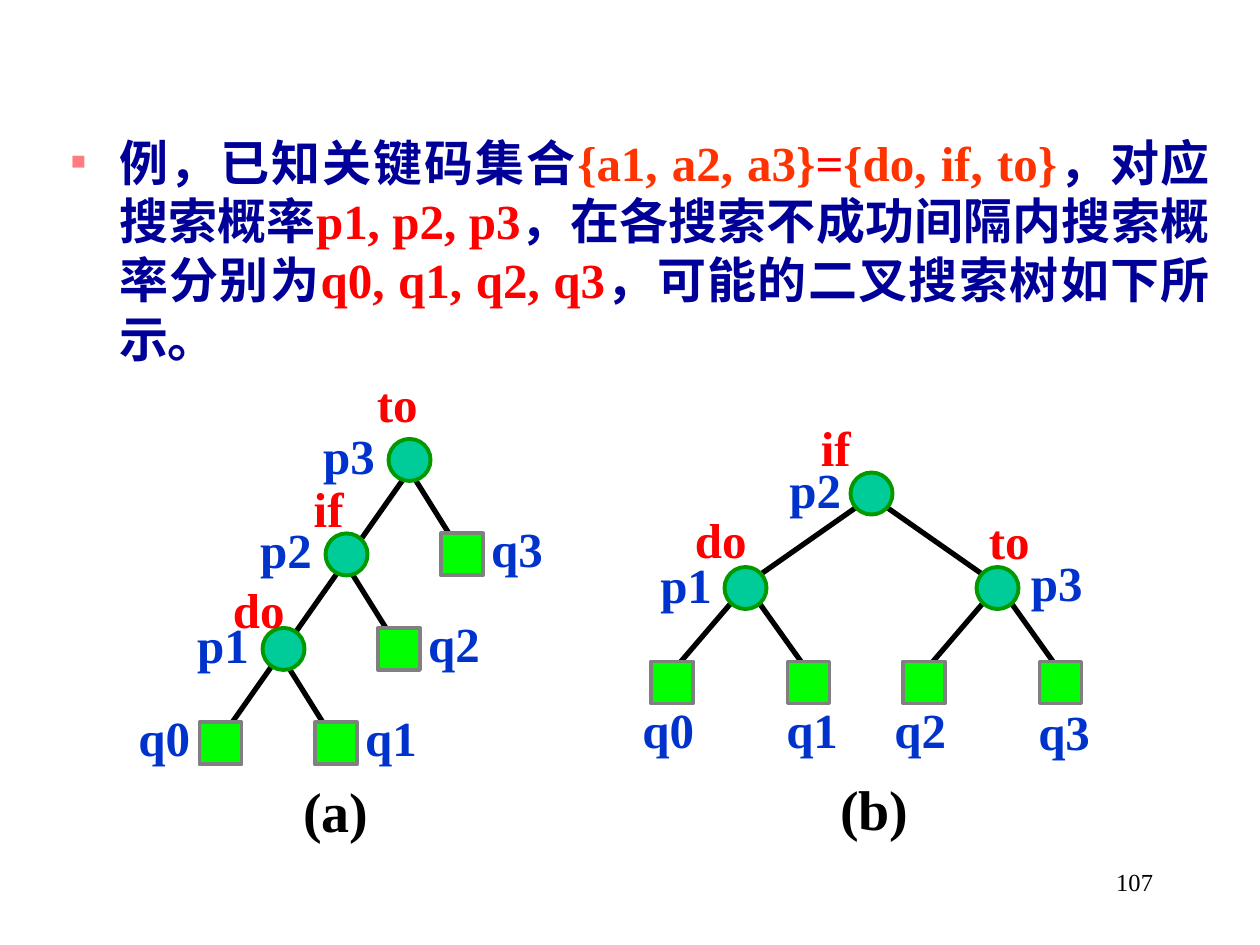
from dataclasses import dataclass
from lxml import etree
from pptx import Presentation
from pptx import util as u
from pptx.dml.color import RGBColor
from pptx.enum import shapes, text
from pptx.oxml.ns import qn


@dataclass(frozen=True)
class Theme:
    font: str = "Times New Roman"
    body: int = 28
    cap: int = 32
    small: int = 14
    navy: str = "000099"
    blue: str = "0033CC"
    red: str = "FF0000"
    flame: str = "FF3300"
    pink: str = "FF7C80"
    black: str = "000000"
    knot: tuple = ("00CC99", "009900")
    leaf: tuple = ("00FF00", "808080")


T = Theme()
COLS, ROWS = 120, 90           # slide grid, 12 cells to the inch
W, H = u.Inches(10), u.Inches(7.5)
SIDE = 4                       # node size in cells
WIDE = {"if": 5.3, "to": 6.4, "(a)": 8.6, "(b)": 8.9}


def x(col):
    return round(W * col / COLS)


def y(row):
    return round(H * row / ROWS)


def rgb(hue):
    return RGBColor.from_string(hue)


def style(font, size, hue, bold=True):
    font.name, font.size, font.bold = T.font, u.Pt(size), bold
    font.color.rgb = rgb(hue)


def label(slide, word, col, row, size, hue):
    high = 6.84 if size == T.body else 7.56
    box = slide.shapes.add_textbox(
        x(col), y(row), x(WIDE.get(word, 7.3)), y(high))
    box.text_frame.word_wrap = False
    box.text_frame.auto_size = text.MSO_AUTO_SIZE.SHAPE_TO_FIT_TEXT
    para = box.text_frame.paragraphs[0]
    para.text = word
    style(para.font, size, hue)


def edge(slide, start, end):
    line = slide.shapes.add_connector(
        shapes.MSO_CONNECTOR.STRAIGHT,
        x(start[0]), y(start[1]), x(end[0]), y(end[1]))
    line.line.color.rgb = rgb(T.black)
    line.line.width = u.Pt(3)
    etree.SubElement(line._element.spPr, qn("a:effectLst"))


def node(slide, col, row, leaf):
    kind = shapes.MSO_SHAPE.RECTANGLE if leaf else shapes.MSO_SHAPE.OVAL
    fill, rim = T.leaf if leaf else T.knot
    mark = slide.shapes.add_shape(
        kind, x(col - SIDE / 2), y(row - SIDE / 2), x(SIDE), y(SIDE))
    mark.shadow.inherit = False
    mark.fill.solid()
    mark.fill.fore_color.rgb = rgb(fill)
    mark.line.color.rgb = rgb(rim)
    mark.line.width = u.Pt(2.25)


def tree(slide, box, nodes, edges, cap):
    """Nodes hold centre, then (word, dx, dy) labels; all relative to box."""
    left, top = box
    for start, end in edges:
        edge(slide, (left + start[0], top + start[1]),
             (left + end[0], top + end[1]))
    for col, row, tags in nodes:
        node(slide, left + col, top + row, tags[0][0].startswith("q"))
    for col, row, tags in nodes:
        for word, dx, dy in tags:
            hue = T.blue if word[0] in "pq" else T.red
            label(slide, word, left + col + dx, top + row + dy, T.body, hue)
    word, col, row = cap
    label(slide, word, left + col, top + row, T.cap, T.black)


def chain(slide, box):
    """Tree (a): a left spine with a leaf to the right of each key."""
    keys = [("to", -4.3, -8.8), ("if", -4.3, -7.8), ("do", -6, -7.2)]
    nodes, edges = [], [((27, 9.8), (8, 36.8))]
    for i, key in enumerate(keys):
        col, row = 27 - 6 * i, 8.8 + 9 * i
        nodes.append((col, row, [(f"p{3 - i}", -9.4, -3.9), key]))
        nodes.append((col + 5, row + 9, [(f"q{3 - i}", 1.6, -3.96)]))
        edges.append(((col, row + 1), (col + 5, row + 9)))
    nodes.append((9, 35.8, [("q0", -9, -3.96)]))
    tree(slide, box, nodes, edges, ("(a)", 15.7, 38.4))


def full(slide, box):
    """Tree (b): the balanced tree."""
    nodes = [(23, 8, [("p2", -9, -3.8), ("if", -6, -7.8)]),
             (11, 17, [("p1", -9.3, -3.8), ("do", -6, -8.1)]),
             (35, 17, [("p3", 2, -4), ("to", -2, -8)])]
    edges = []
    for i, (col, side) in enumerate(((11, -1), (35, 1))):
        edges.append(((23 + side, 9), (col - side, 16)))
        nodes.append((col - 7, 26, [(f"q{2 * i}", -4, 1)]))
        nodes.append((col + 6, 26, [(f"q{2 * i + 1}", -3.3, 1 + 0.24 * i)]))
        edges.append(((col - 1, 18), (col - 7, 25)))
        edges.append(((col + 1, 18), (col + 6, 25)))
    tree(slide, box, nodes, edges, ("(b)", 18.84, 34.2))


def intro(slide, box):
    left, top, wide, high = box
    area = slide.shapes.add_textbox(x(left), y(top), x(wide), y(high))
    area.text_frame.word_wrap = True
    para = area.text_frame.paragraphs[0]
    para.alignment = text.PP_ALIGN.JUSTIFY
    para.space_before = u.Pt(T.body * 0.2)
    for words, hue in (
            ("例，已知关键码集合", T.navy), ("{a1, a2, a3}", T.flame),
            ("=", T.red), ("{do, if, to}", T.flame),
            ("，对应搜索概率", T.navy), ("p1, p2, p3", T.red),
            ("，在各搜索不成功间隔内搜索概率分别为", T.navy),
            ("q0, q1, q2, q3", T.red),
            ("，可能的二叉搜索树如下所示。", T.navy)):
        run = para.add_run()
        run.text = words
        style(run.font, T.body, hue)
    # Square bullet with hanging indent
    props = para._p.get_or_add_pPr()
    props.set("marL", str(u.Inches(0.38)))
    props.set("indent", str(-u.Inches(0.38)))
    tint = etree.SubElement(props, qn("a:buClr"))
    etree.SubElement(tint, qn("a:srgbClr"), val=T.pink)
    etree.SubElement(props, qn("a:buSzPct"), val="50000")
    etree.SubElement(props, qn("a:buFont"), typeface=T.font)
    etree.SubElement(props, qn("a:buChar"), char="■")


def folio(slide, box):
    left, top, wide, high = box
    area = slide.shapes.add_textbox(x(left), y(top), x(wide), y(high))
    area.text_frame.word_wrap = True
    para = area.text_frame.paragraphs[0]
    para.text = "107"
    para.alignment = text.PP_ALIGN.RIGHT
    style(para.font, T.small, T.black, False)


def main():
    deck = Presentation()
    deck.slide_width, deck.slide_height = W, H
    slide = deck.slides.add_slide(deck.slide_layouts[6])
    intro(slide, (5.6, 12, 110.8, 23.5))
    chain(slide, (12, 35))
    full(slide, (60, 39))
    folio(slide, (86, 82, 25, 6))
    deck.save("out.pptx")


if __name__ == "__main__":
    main()
